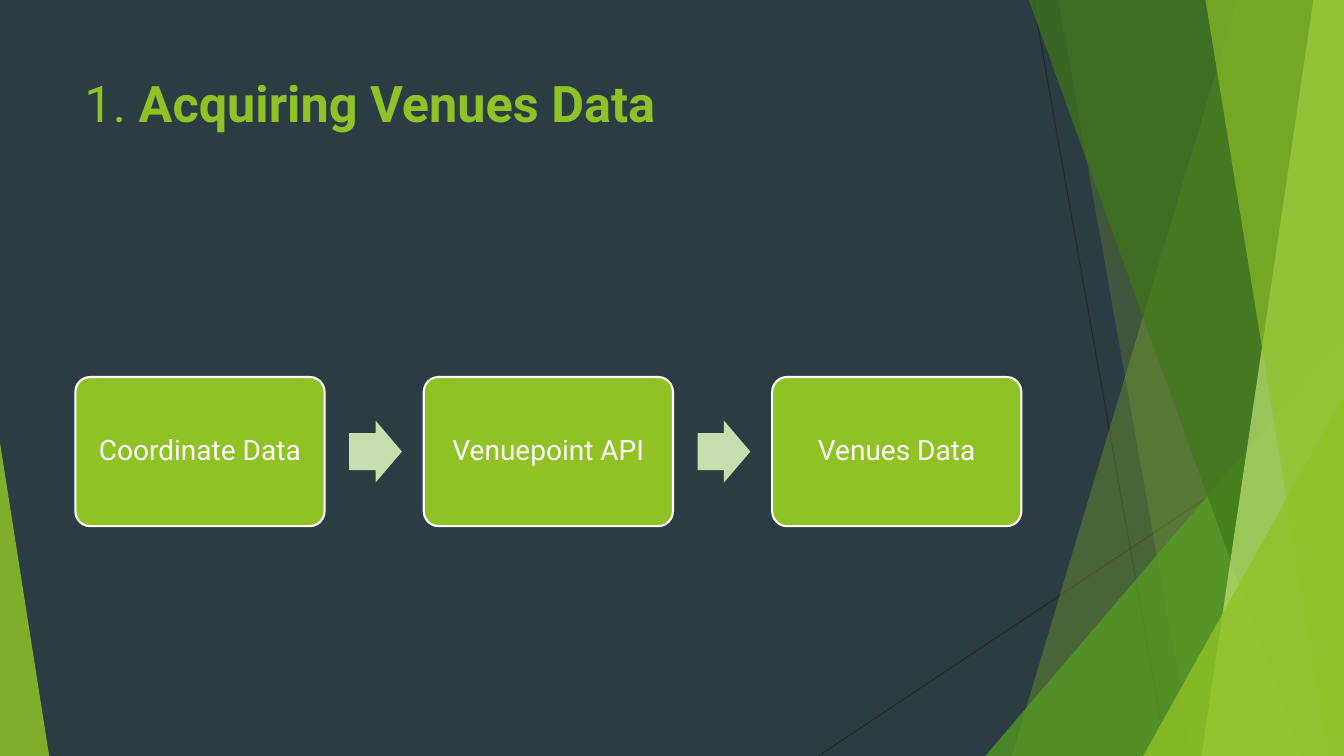
from dataclasses import dataclass

from lxml.etree import SubElement
from pptx import Presentation
from pptx.dml.color import RGBColor
from pptx.enum.shapes import MSO_CONNECTOR as Connector, MSO_SHAPE as Shape
from pptx.enum.text import MSO_ANCHOR as Anchor, PP_ALIGN as Align
from pptx.oxml.ns import qn
from pptx.util import Cm, Pt


@dataclass(frozen=True)
class Theme:
    background: str = "2C3C43"
    lime: str = "90C226"
    green: str = "54A021"
    forest: str = "3F7819"
    pale: str = "C0E474"
    arrow: str = "C6DDAD"
    hairline: str = "262626"
    white: str = "FFFFFF"
    font: str = "Roboto"
    title_size: int = 36
    card_size: int = 20


THEME = Theme()
PAGE_WIDTH, PAGE_HEIGHT = 33.87, 19.05
STEPS = ["Coordinate Data", "Venuepoint API", "Venues Data"]


def rgb(value):
    return RGBColor.from_string(value)


def paint(shape, colour, opacity=100):
    """Fill a shape flat, without outline or shadow."""
    shape.shadow.inherit = False
    shape.fill.solid()
    shape.fill.fore_color.rgb = rgb(colour)
    shape.line.fill.background()
    if opacity < 100:
        tint = shape.fill._xPr.find(qn("a:solidFill"))[0]
        SubElement(tint, qn("a:alpha")).set("val", str(opacity * 1000))


def write(para, text, **formats):
    span = para.add_run()
    span.text = text
    colour = formats.pop("colour")
    for name, value in {"name": THEME.font, **formats}.items():
        setattr(span.font, name, value)
    span.font.color.rgb = rgb(colour)


def add_hairline(page, start, end):
    line = page.shapes.add_connector(
        Connector.STRAIGHT, *(Cm(value) for value in (*start, *end)))
    line.line.color.rgb = rgb(THEME.hairline)
    line.line.width = Pt(0.75)
    SubElement(line._element.spPr, qn("a:effectLst"))


def add_facet(page, box, top_x, bottom_x, colour, opacity):
    """Band from a slanted left edge to the right side of the box."""
    left, top, width, height = box
    right, bottom = left + width, top + height
    outline = page.shapes.build_freeform(Cm(left + top_x), Cm(top))
    corners = [(right, top), (right, bottom), (left + bottom_x, bottom)]
    outline.add_line_segments([(Cm(x), Cm(y)) for x, y in corners], close=True)
    paint(outline.convert_to_shape(), colour, opacity)


def add_corner(page, box, width, height, apex, colour, opacity):
    """Right triangle in a bottom corner: apex 0 is left, 1 is right."""
    left = box[0] + apex * (box[2] - width)
    top = box[1] + box[3] - height
    corner = page.shapes.add_shape(
        Shape.ISOSCELES_TRIANGLE, Cm(left), Cm(top), Cm(width), Cm(height))
    corner.adjustments[0] = apex
    paint(corner, colour, opacity)


def add_backdrop(page, box):
    left, top, width, height = box
    right, bottom = left + width, top + height
    add_hairline(page, (left + 26.04, top), (left + 29.41, bottom))
    add_hairline(page, (right, top + 10.24), (left + 20.62, bottom))

    # Translucent facets, back to front
    add_facet(page, box, 31.19, 25.5, THEME.lime, 30)
    add_facet(page, box, 26.67, 30.05, THEME.lime, 20)
    add_corner(page, box, 9.04, 10.58, 1, THEME.green, 72)
    add_facet(page, box, 25.93, 32.79, THEME.forest, 70)
    add_facet(page, box, 33.1, 30.28, THEME.pale, 70)
    add_facet(page, box, 30.38, 33.48, THEME.lime, 65)
    add_corner(page, box, 5.06, 9.07, 1, THEME.lime, 80)
    add_corner(page, box, 1.24, 7.9, 0, THEME.lime, 85)


def add_title(page, box):
    frame = page.shapes.add_textbox(*(Cm(value) for value in box)).text_frame
    frame.word_wrap = True
    para = frame.paragraphs[0]
    look = {"size": Pt(THEME.title_size), "colour": THEME.lime}
    write(para, "1.", **look)
    write(para, " Acquiring Venues Data", bold=True, **look)


def add_card(page, box, text):
    card = page.shapes.add_shape(
        Shape.ROUNDED_RECTANGLE, *(Cm(value) for value in box))
    card.adjustments[0] = 0.1
    paint(card, THEME.lime)
    card.line.color.rgb = rgb(THEME.white)
    card.line.width = Pt(1.5)
    frame = card.text_frame
    formats = {"word_wrap": True, "vertical_anchor": Anchor.MIDDLE}
    formats |= {f"margin_{side}": Cm(0.2)
                for side in ("left", "right", "top", "bottom")}
    for name, value in formats.items():
        setattr(frame, name, value)
    para = frame.paragraphs[0]
    para.alignment = Align.CENTER
    para.line_spacing = 0.9
    write(para, text, size=Pt(THEME.card_size), colour=THEME.white)


def add_process(page, box, steps):
    """Row of equal cards with an arrow in each gap."""
    left, top, width, height = box
    card_width = 6.28
    pitch = (width - card_width) / (len(steps) - 1)
    arrow_offset, arrow_width, arrow_height = 6.9, 1.33, 1.56
    for index, step in enumerate(steps):
        card_left = left + index * pitch
        add_card(page, (card_left, top, card_width, height), step)
        if index < len(steps) - 1:
            arrow = page.shapes.add_shape(
                Shape.RIGHT_ARROW, Cm(card_left + arrow_offset),
                Cm(top + (height - arrow_height) / 2),
                Cm(arrow_width), Cm(arrow_height))
            arrow.adjustments[0] = 0.6
            arrow.adjustments[1] = 0.5
            paint(arrow, THEME.arrow)


def main():
    deck = Presentation()
    deck.slide_width, deck.slide_height = Cm(PAGE_WIDTH), Cm(PAGE_HEIGHT)
    page = deck.slides.add_slide(deck.slide_layouts[6])
    page.background.fill.solid()
    page.background.fill.fore_color.rgb = rgb(THEME.background)

    add_backdrop(page, (0, 0, PAGE_WIDTH, PAGE_HEIGHT))
    add_title(page, (1.88, 1.7, 23.88, 3.66))
    add_process(page, (1.9, 9.5, 23.84, 3.76), STEPS)
    deck.save("out.pptx")


if __name__ == "__main__":
    main()
